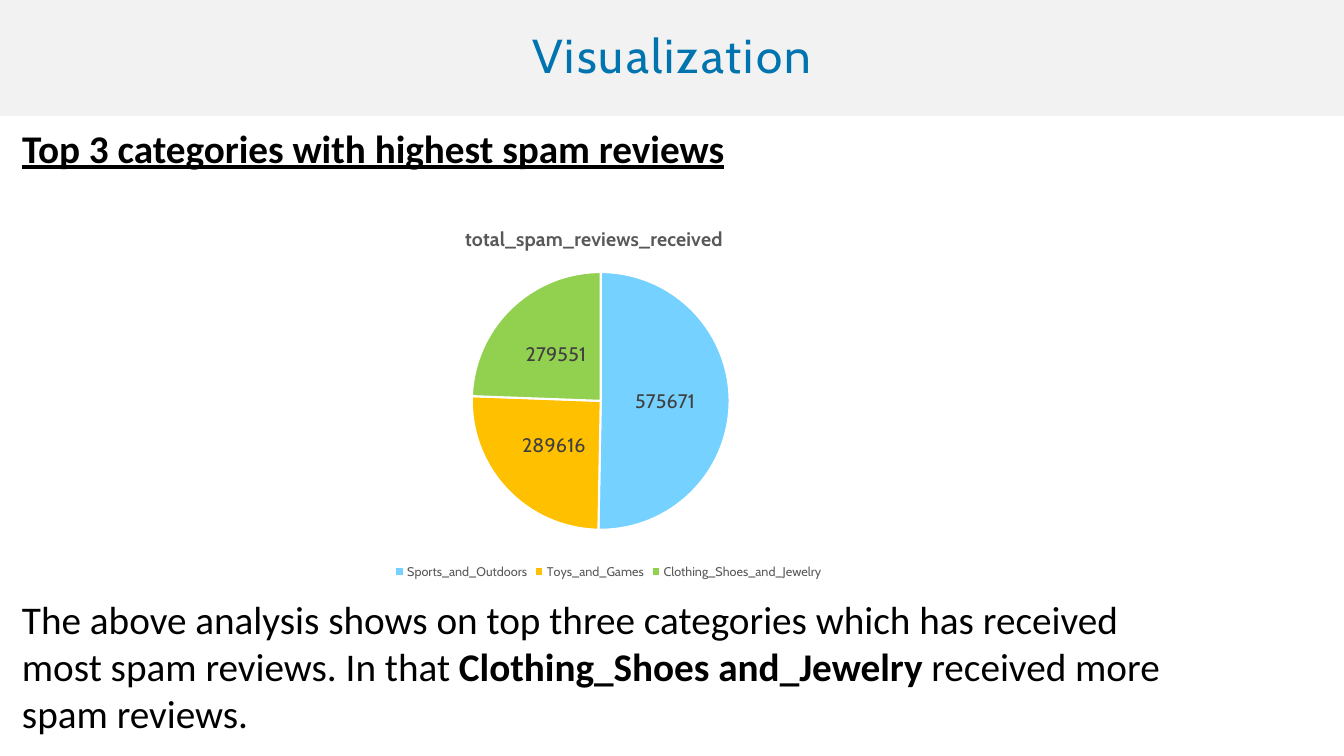
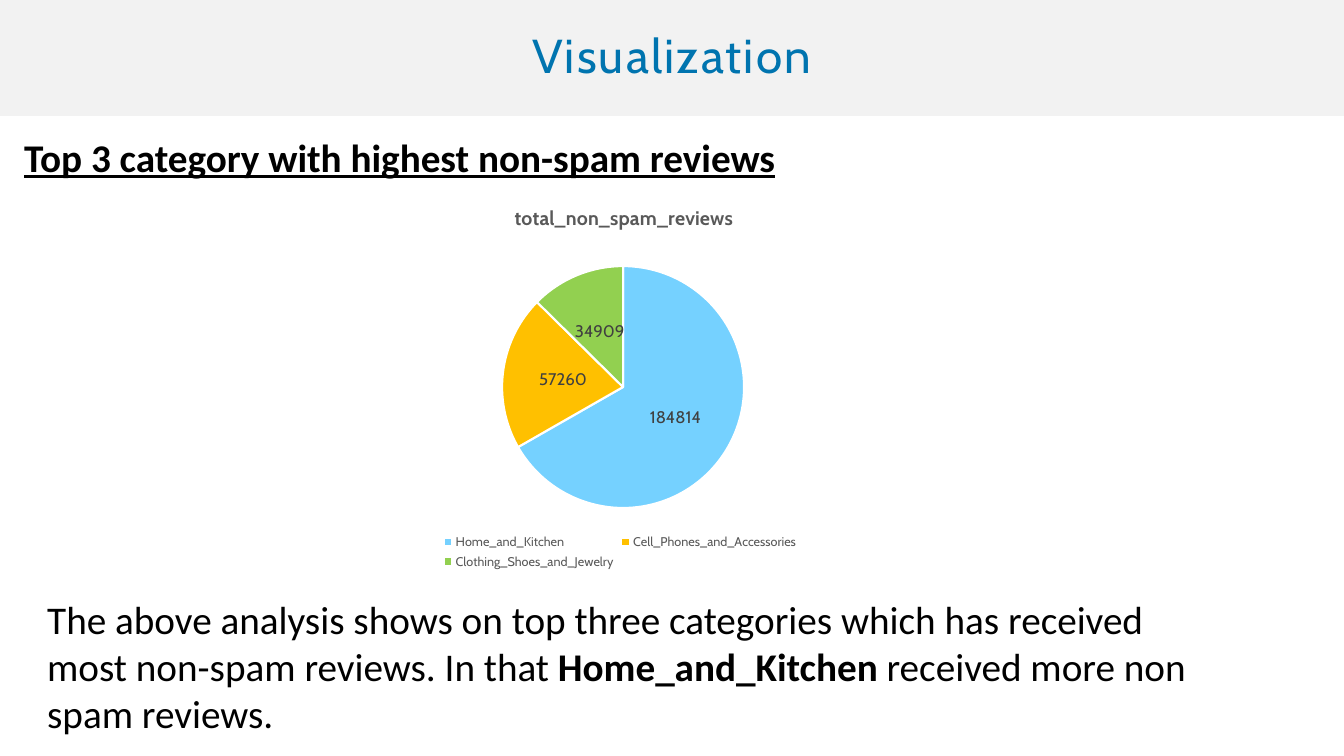
import dataclasses
import typing

import pptx
import pptx.chart.data
import pptx.dml.color
import pptx.enum.chart
import pptx.enum.text
import pptx.oxml
import pptx.oxml.ns
import pptx.util

Inches = pptx.util.Inches
RGBColor = pptx.dml.color.RGBColor

BLACK = RGBColor(0x00, 0x00, 0x00)
WHITE = RGBColor(0xFF, 0xFF, 0xFF)
BAND = RGBColor(0xF2, 0xF2, 0xF2)
BLUE = RGBColor(0x00, 0x74, 0xAF)
GRAY = RGBColor(0x59, 0x59, 0x59)
DARK = RGBColor(0x40, 0x40, 0x40)
SLICES = (
    RGBColor(0x75, 0xD1, 0xFF),
    RGBColor(0xFF, 0xC0, 0x00),
    RGBColor(0x92, 0xD0, 0x50),
)
HEAD_FONT = "Cabin"
BODY_FONT = "Calibri"
WIDTH = 13.33

Box = tuple[float, float, float, float]


@dataclasses.dataclass(frozen=True)
class Pie:
    title: str
    names: tuple[str, ...]
    counts: tuple[int, ...]
    box: Box
    spot: tuple[float, float]
    plot: Box
    size: int


@dataclasses.dataclass(frozen=True)
class Page:
    head: str
    head_box: Box
    pie: Pie
    note: tuple[str, str, str]
    note_left: float


PAGES = (
    Page(
        head="Top 3 categories with highest spam reviews",
        head_box=(0.12, 1.15, 8.95, 0.58),
        pie=Pie(
            title="total_spam_reviews_received",
            names=("Sports_and_Outdoors", "Toys_and_Games", "Clothing_Shoes_and_Jewelry"),
            counts=(575671, 289616, 279551),
            box=(3.2, 1.96, 5.67, 3.83),
            spot=(4.58, 2.2),
            plot=(4.68, 2.7, 2.56, 2.56),
            size=14,
        ),
        note=(
            "The above analysis shows on top three categories which has received "
            "most spam reviews. In that ",
            "Clothing_Shoes and_Jewelry",
            " received more spam reviews.",
        ),
        note_left=0.12,
    ),
    Page(
        head="Top 3 category with highest non-spam reviews",
        head_box=(0.14, 1.24, 8.51, 0.58),
        pie=Pie(
            title="total_non_spam_reviews",
            names=("Home_and_Kitchen", "Cell_Phones_and_Accessories", "Clothing_Shoes_and_Jewelry"),
            counts=(184814, 57260, 34909),
            box=(3.65, 1.8, 5, 3.89),
            spot=(5.07, 1.99),
            plot=(4.98, 2.64, 2.4, 2.4),
            size=12,
        ),
        note=(
            "The above analysis shows on top three categories which has received "
            "most non-spam reviews. In that ",
            "Home_and_Kitchen",
            " received more non spam reviews.",
        ),
        note_left=0.37,
    ),
)


def style(font, size: float, color: RGBColor, face: str = HEAD_FONT, bold: bool = False) -> None:
    font.size = pptx.util.Pt(size)
    font.color.rgb = color
    font.name = face
    font.bold = bold


def write(
    para,
    text: str,
    *,
    size: float = 28,
    color: RGBColor = BLACK,
    face: str = BODY_FONT,
    bold: bool = False,
    under: bool = False,
    track: typing.Optional[float] = None,
) -> None:
    run = para.add_run()
    run.text = text
    style(run.font, size, color, face, bold)
    if under:
        run.font.underline = True
    if track is not None:
        run._r.get_or_add_rPr().set("spc", str(round(track * 100)))


def add_title(slide) -> None:
    title = slide.shapes.title
    title.left = title.top = Inches(0)
    title.width, title.height = Inches(WIDTH), Inches(1.15)
    title.fill.solid()
    title.fill.fore_color.rgb = BAND
    frame = title.text_frame
    frame.auto_size = pptx.enum.text.MSO_AUTO_SIZE.NONE
    frame.vertical_anchor = pptx.enum.text.MSO_ANCHOR.MIDDLE
    frame.margin_left = frame.margin_right = Inches(0.5)
    frame.margin_top = frame.margin_bottom = Inches(0.05)
    para = frame.paragraphs[0]
    para.alignment = pptx.enum.text.PP_ALIGN.CENTER
    para.line_spacing = 0.9
    write(para, "Visualization", size=34, color=BLUE, face=HEAD_FONT, track=1.6)


def add_text(slide, box: Box):
    frame = slide.shapes.add_textbox(*map(Inches, box)).text_frame
    frame.word_wrap = True
    frame.auto_size = pptx.enum.text.MSO_AUTO_SIZE.SHAPE_TO_FIT_TEXT
    return frame.paragraphs[0]


def place(owner, index: int, values: dict[str, float], inner: bool = False) -> None:
    for old in owner.findall(pptx.oxml.ns.qn("c:layout")):
        owner.remove(old)
    target = '<c:layoutTarget val="inner"/>' if inner else ""
    modes = "".join(f'<c:{key}Mode val="edge"/>' for key in "xy")
    sizes = "".join(f'<c:{key} val="{value:.3f}"/>' for key, value in values.items())
    names = pptx.oxml.ns.nsdecls("c")
    owner.insert(index, pptx.oxml.parse_xml(
        f"<c:layout {names}><c:manualLayout>{target}{modes}{sizes}</c:manualLayout></c:layout>"
    ))


def add_pie(slide, pie: Pie) -> None:
    data = pptx.chart.data.CategoryChartData()
    data.categories = pie.names
    data.add_series("Series 1", pie.counts)
    chart = slide.shapes.add_chart(
        pptx.enum.chart.XL_CHART_TYPE.PIE, *map(Inches, pie.box), data
    ).chart
    style(chart.font, 10, BLACK)

    chart.has_title = True
    write(chart.chart_title.text_frame.paragraphs[0], pie.title,
          size=14, color=GRAY, face=HEAD_FONT, bold=True)
    chart.has_legend = True
    chart.legend.position = pptx.enum.chart.XL_LEGEND_POSITION.BOTTOM
    chart.legend.include_in_layout = False
    style(chart.legend.font, 9, GRAY)

    plot = chart.plots[0]
    plot.vary_by_categories = True
    series = plot.series[0]
    for index, color in enumerate(SLICES):
        part = series.points[index].format
        part.fill.solid()
        part.fill.fore_color.rgb = color
        part.line.color.rgb = WHITE
        part.line.width = pptx.util.Pt(1.5)
    labels = series.data_labels
    labels.show_value = True
    labels.position = pptx.enum.chart.XL_LABEL_POSITION.CENTER
    style(labels.font, pie.size, DARK)

    left, top, width, height = pie.box
    x, y, w, h = pie.plot
    area = chart._chartSpace.chart.plotArea
    place(area, 0, {
        "x": (x - left) / width, "y": (y - top) / height, "w": w / width, "h": h / height,
    }, inner=True)
    x, y = pie.spot
    place(chart.chart_title._element, 1, {"x": (x - left) / width, "y": (y - top) / height})


def add_page(deck, page: Page) -> None:
    slide = deck.slides.add_slide(deck.slide_layouts[5])
    add_title(slide)
    head = add_text(slide, page.head_box)
    head.line_spacing = 1.07
    head.space_after = pptx.util.Pt(8)
    write(head, page.head, bold=True, under=True)
    add_pie(slide, page.pie)
    note = add_text(slide, (page.note_left, 5.86, 11.56, 1.51))
    for index, text in enumerate(page.note):
        write(note, text, bold=index == 1)


def main() -> None:
    deck = pptx.Presentation()
    deck.slide_width, deck.slide_height = Inches(WIDTH), Inches(7.5)
    for page in PAGES:
        add_page(deck, page)
    deck.save("out.pptx")


if __name__ == "__main__":
    main()
